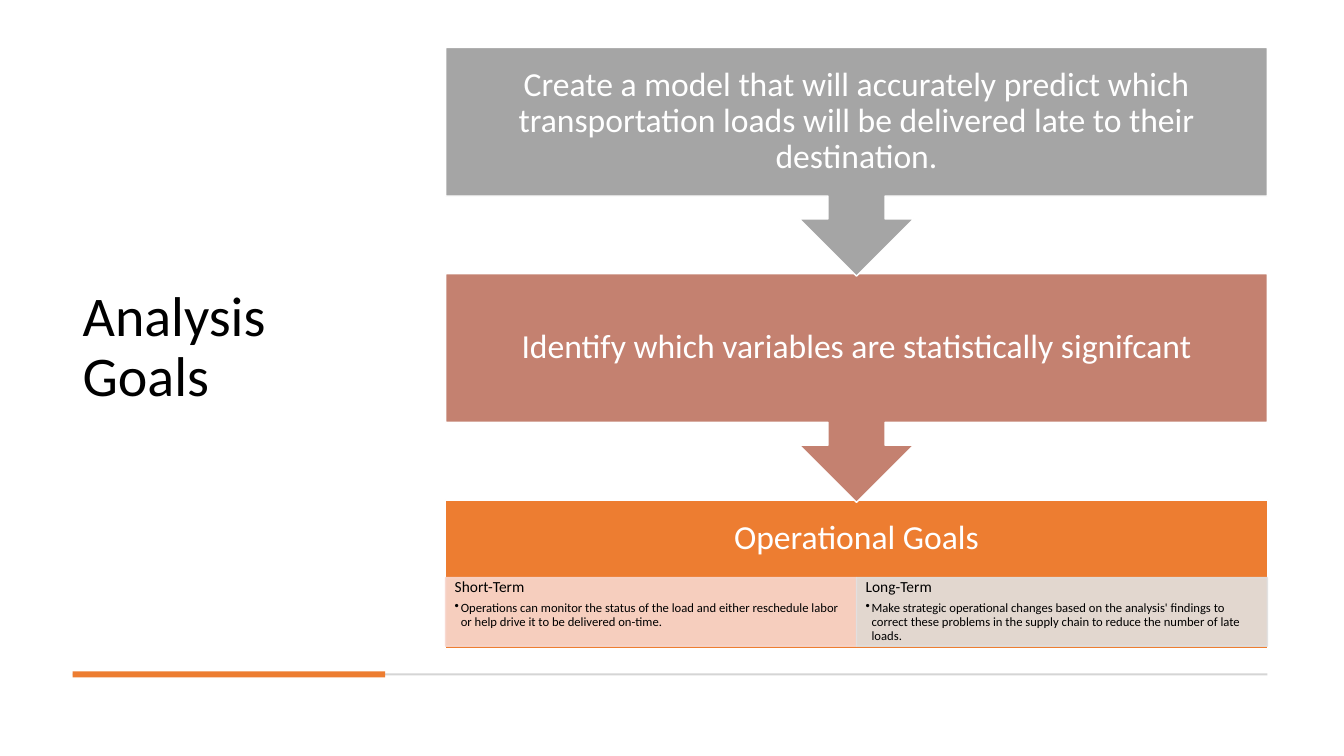
import pptx
import pptx.util
import pptx.dml.color
import pptx.enum.shapes
import pptx.enum.text
import pptx.oxml
import pptx.oxml.ns
from lxml import etree

Inches, Pt = pptx.util.Inches, pptx.util.Pt
RGBColor = pptx.dml.color.RGBColor
SHAPE = pptx.enum.shapes.MSO_SHAPE
ALIGN = pptx.enum.text.PP_ALIGN
ANCHOR = pptx.enum.text.MSO_ANCHOR

WHITE = RGBColor(0xFF, 0xFF, 0xFF)
BLACK = RGBColor(0, 0, 0)
GRAY = RGBColor(0xA5, 0xA5, 0xA5)
CLAY = RGBColor(0xC4, 0x81, 0x70)
ORANGE = RGBColor(0xED, 0x7D, 0x31)
RULE_GRAY = RGBColor(0xD5, 0xD5, 0xD5)
PEACH = RGBColor(0xF8, 0xD7, 0xCE)
PALE_GRAY = RGBColor(0xE1, 0xE1, 0xE1)
FONT = "Calibri"

TITLE = "Analysis Goals"
STEPS = [
    ("Create a model that will accurately predict which transportation loads "
     "will be delivered late to their destination.", GRAY),
    ("Identify which variables are statistically signifcant", CLAY),
]
LAST_STEP = "Operational Goals"
HORIZONS = [
    ("Short-Term",
     "Operations can monitor the status of the load and either reschedule "
     "labor or help drive it to be delivered on-time.", PEACH),
    ("Long-Term",
     "Make strategic operational changes based on the analysis' findings to "
     "correct these problems in the supply chain to reduce the number of "
     "late loads.", PALE_GRAY),
]

SLIDE_W, SLIDE_H = 13.33, 7.5
LEFT, RIGHT, TOP = 0.72, 12.57, 0.47
TITLE_W, TITLE_H = 3.1, 5.97
FLOW_LEFT = 4.42
FLOW_W = RIGHT - FLOW_LEFT
STEP_PITCH = 2.245
CALLOUT_H = 2.27
LAST_H, HEADING_H, PANEL_H = 1.48, 0.77, 0.68
RULE_Y, RULE_H, ACCENT_H = 6.69, 0.02, 0.06
PAD = 0.19


def add_block(page, kind, left, top, width, height, fill, line=None):
    block = page.shapes.add_shape(
        kind, Inches(left), Inches(top), Inches(width), Inches(height))
    block.shadow.inherit = False
    block.fill.solid()
    block.fill.fore_color.rgb = fill
    if line is None:
        block.line.fill.background()
    else:
        block.line.color.rgb = line
        block.line.width = Pt(1)
    return block


def set_insets(frame, left, top, right, bottom):
    frame.margin_left, frame.margin_top = Inches(left), Inches(top)
    frame.margin_right, frame.margin_bottom = Inches(right), Inches(bottom)


def write(para, text, size, color, align=ALIGN.LEFT, after=0, bullet=False):
    if bullet:
        props = para._p.get_or_add_pPr()
        props.set("marL", str(Inches(0.06)))
        props.set("indent", str(-Inches(0.06)))
        mark = etree.SubElement(props, pptx.oxml.ns.qn("a:buChar"))
        mark.set("char", "•")
    para.alignment = align
    para.line_spacing = 0.9
    para.space_before = Pt(0)
    para.space_after = Pt(after)
    span = para.add_run()
    span.text = text
    span.font.name = FONT
    span.font.size = Pt(size)
    span.font.color.rgb = color


def write_step(block, text, bottom=PAD):
    frame = block.text_frame
    frame.word_wrap = True
    frame.vertical_anchor = ANCHOR.MIDDLE
    set_insets(frame, PAD, PAD, PAD, bottom)
    write(frame.paragraphs[0], text, 24, WHITE, ALIGN.CENTER)


def set_opacity(block, percent):
    """Apply one opacity to both the fill and the line of the block."""
    for color in block._element.spPr.iter(pptx.oxml.ns.qn("a:srgbClr")):
        alpha = etree.SubElement(color, pptx.oxml.ns.qn("a:alpha"))
        alpha.set("val", str(percent * 1000))


def add_title(page):
    title = page.shapes.title
    title.left, title.top = Inches(LEFT), Inches(TOP)
    title.width, title.height = Inches(TITLE_W), Inches(TITLE_H)
    frame = title.text_frame
    frame.word_wrap = True
    frame.vertical_anchor = ANCHOR.MIDDLE
    write(frame.paragraphs[0], TITLE, 40, BLACK)


def add_rules(page):
    for width, height, color in [(RIGHT - LEFT, RULE_H, RULE_GRAY),
                                 (TITLE_W, ACCENT_H, ORANGE)]:
        add_block(page, SHAPE.RECTANGLE, LEFT, RULE_Y - height / 2,
                  width, height, color)


def add_last_step(page):
    top = TOP + len(STEPS) * STEP_PITCH
    base = add_block(page, SHAPE.RECTANGLE, FLOW_LEFT, top, FLOW_W, LAST_H,
                     ORANGE, WHITE)
    write_step(base, LAST_STEP, bottom=LAST_H - HEADING_H + PAD)
    panel_w = FLOW_W / len(HORIZONS)
    for column, (heading, detail, color) in enumerate(HORIZONS):
        panel = add_block(page, SHAPE.RECTANGLE, FLOW_LEFT + column * panel_w,
                          top + HEADING_H, panel_w, PANEL_H, color, color)
        set_opacity(panel, 90)
        frame = panel.text_frame
        frame.word_wrap = True
        frame.vertical_anchor = ANCHOR.TOP
        set_insets(frame, 0.09, 0.02, 0.09, 0.02)
        write(frame.paragraphs[0], heading, 11, BLACK, after=4)
        write(frame.add_paragraph(), detail, 9, BLACK, bullet=True)


def add_callouts(page):
    """Draw from the bottom up, so each arrow tip lies over the next step."""
    for row, (text, color) in reversed(list(enumerate(STEPS))):
        callout = add_block(page, SHAPE.DOWN_ARROW_CALLOUT, FLOW_LEFT,
                            TOP + row * STEP_PITCH, FLOW_W, CALLOUT_H,
                            color, WHITE)
        write_step(callout, text)


def main():
    deck = pptx.Presentation()
    deck.slide_width, deck.slide_height = Inches(SLIDE_W), Inches(SLIDE_H)
    page = deck.slides.add_slide(deck.slide_layouts.get_by_name("Title Only"))
    add_title(page)
    add_rules(page)
    add_last_step(page)
    add_callouts(page)
    deck.save("out.pptx")


if __name__ == "__main__":
    main()
